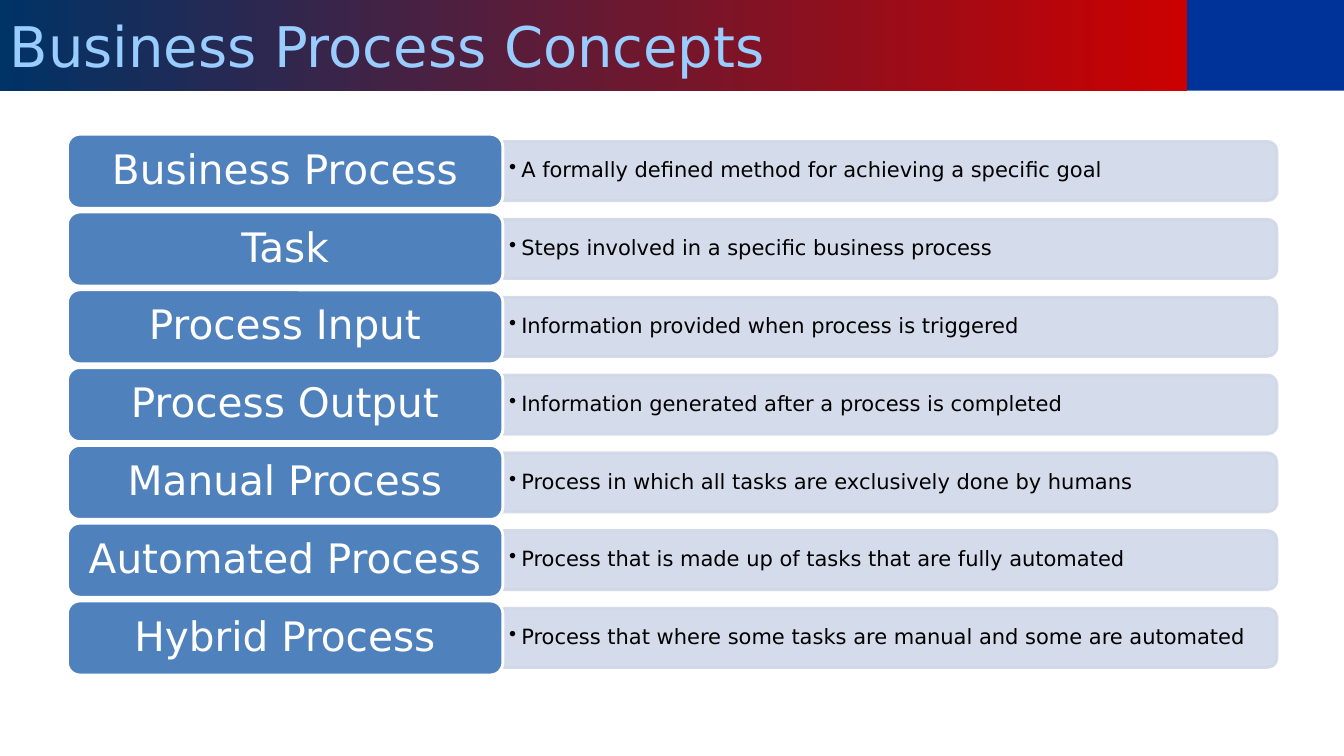
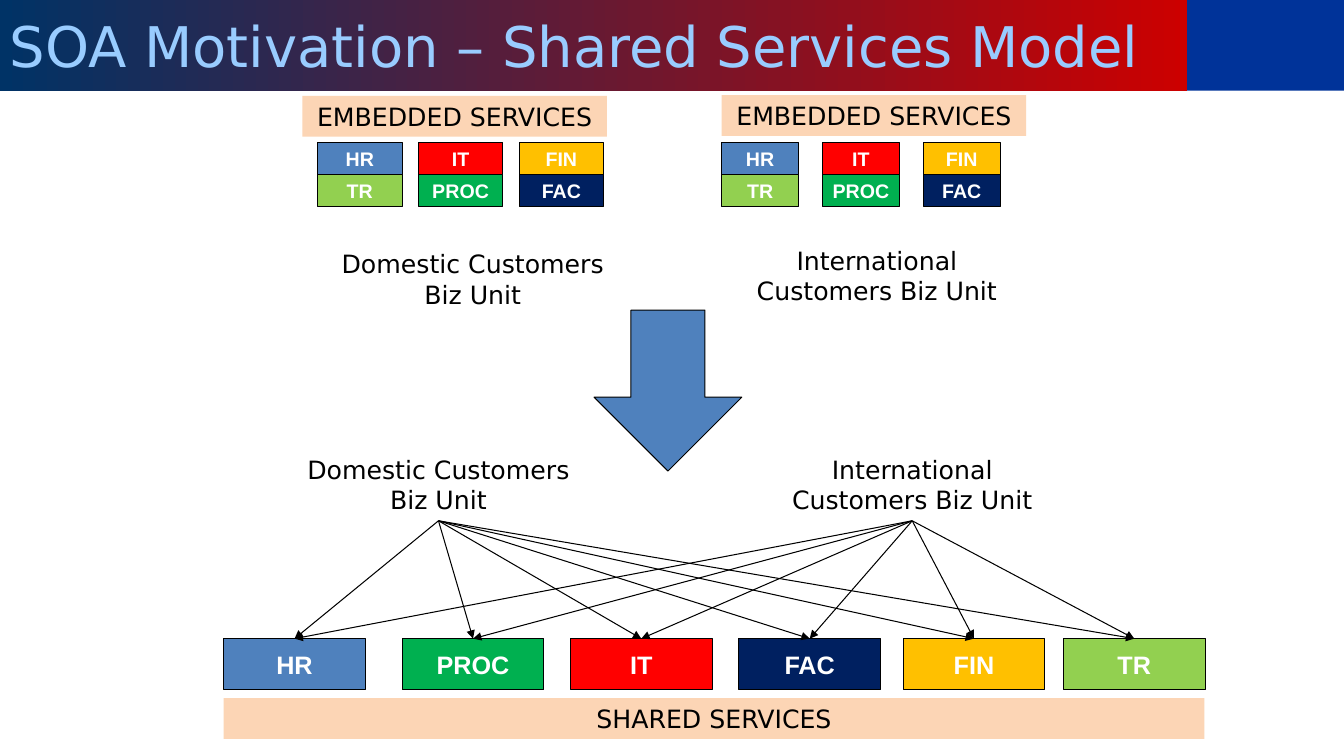
import pptx
import pptx.util
import pptx.dml.color
import pptx.enum.shapes
import pptx.enum.text
import pptx.oxml.ns
import lxml.etree

Pt = pptx.util.Pt
RGB = pptx.dml.color.RGBColor
Kind = pptx.enum.shapes.MSO_SHAPE
Align = pptx.enum.text.PP_ALIGN
Anchor = pptx.enum.text.MSO_ANCHOR
qn = pptx.oxml.ns.qn

NAVY = RGB(0x00, 0x33, 0x66)
CRIMSON = RGB(0xCC, 0x00, 0x00)
ROYAL = RGB(0x00, 0x33, 0x99)
SKY = RGB(0x99, 0xCC, 0xFF)
BLUE = RGB(0x4F, 0x81, 0xBD)
PALE = RGB(0xD0, 0xD8, 0xE8)
PEACH = RGB(0xFC, 0xD5, 0xB5)
RED = RGB(0xFF, 0x00, 0x00)
GOLD = RGB(0xFF, 0xC0, 0x00)
LIME = RGB(0x92, 0xD0, 0x50)
GREEN = RGB(0x00, 0xB0, 0x50)
DARK = RGB(0x00, 0x20, 0x60)
BLACK = RGB(0x00, 0x00, 0x00)
WHITE = RGB(0xFF, 0xFF, 0xFF)
SANS = "DejaVu Sans"

TERMS = [
    ("Business Process", "A formally defined method for achieving a specific goal"),
    ("Task", "Steps involved in a specific business process"),
    ("Process Input", "Information provided when process is triggered"),
    ("Process Output", "Information generated after a process is completed"),
    ("Manual Process", "Process in which all tasks are exclusively done by humans"),
    ("Automated Process", "Process that is made up of tasks that are fully automated"),
    ("Hybrid Process", "Process that where some tasks are manual and some are automated"),
]
TINTS = {"HR": BLUE, "IT": RED, "FIN": GOLD, "TR": LIME, "PROC": GREEN, "FAC": DARK}
GRIDS = [(226.8, 60.5), (515.5, 55)]
SHARED = {"HR": 159.8, "PROC": 287.3, "IT": 407.5, "FAC": 527.8, "FIN": 645.1, "TR": 759.6}
HOME = "Domestic Customers Biz Unit"
WORLD = "International Customers Biz Unit"
UNITS = [(HOME, 229.7, 174.2), (WORLD, 518.4, 171.4), (HOME, 205.2, 321.1), (WORLD, 543.6, 321.1)]
SIGNS = [
    ("EMBEDDED SERVICES", 216, 68.5, 217.5),
    ("EMBEDDED SERVICES", 515.5, 68, 217.5),
    ("SHARED SERVICES", 159.8, 498.7, 700.6),
]


def write(shape, text, size=18, font=SANS, color=BLACK, bold=False, align=Align.CENTER,
          anchor=Anchor.MIDDLE, pad=(7.2, 3.6), space=None, bullet=0):
    frame = shape.text_frame
    frame.word_wrap = True
    frame.vertical_anchor = anchor
    frame.margin_left = frame.margin_right = Pt(pad[0])
    frame.margin_top = frame.margin_bottom = Pt(pad[1])
    para = frame.paragraphs[0]
    para.alignment = align
    if space:
        para.line_spacing = space
    if bullet:
        props = para._p.get_or_add_pPr()
        props.set("marL", str(Pt(bullet)))
        props.set("indent", str(-Pt(bullet)))
        lxml.etree.SubElement(props, qn("a:buChar")).set("char", "•")
    run = para.add_run()
    run.text = text
    run.font.size = Pt(size)
    run.font.name = font
    run.font.bold = bold
    run.font.color.rgb = color


def draw(slide, kind, left, top, width, height, fill, line=None, weight=0.75):
    shape = slide.shapes.add_shape(kind, Pt(left), Pt(top), Pt(width), Pt(height))
    shape.shadow.inherit = False
    shape.fill.solid()
    shape.fill.fore_color.rgb = fill
    if line is None:
        shape.line.fill.background()
    else:
        shape.line.color.rgb = line
        shape.line.width = Pt(weight)
    return shape


def label(slide, left, top, width, height, text, **style):
    box = slide.shapes.add_textbox(Pt(left), Pt(top), Pt(width), Pt(height))
    write(box, text, **style)


def fade(shape, percent):
    for color in shape._element.spPr.iter(qn("a:srgbClr")):
        lxml.etree.SubElement(color, qn("a:alpha")).set("val", str(percent * 1000))


def arrow(slide, start, end):
    line = slide.shapes.add_connector(
        pptx.enum.shapes.MSO_CONNECTOR.STRAIGHT, *map(Pt, start + end))
    line.line.color.rgb = BLACK
    line.line.width = Pt(0.75)
    lxml.etree.SubElement(line.line._get_or_add_ln(), qn("a:tailEnd")).set("type", "triangle")
    lxml.etree.SubElement(line._element.spPr, qn("a:effectLst"))


def start(deck, title):
    slide = deck.slides.add_slide(deck.slide_layouts[6])
    draw(slide, Kind.RECTANGLE, 848, 0, 112, 64.8, ROYAL)
    band = draw(slide, Kind.RECTANGLE, 0, 0, 848, 65, NAVY)
    band.fill.gradient()
    band.fill.gradient_angle = 0
    for stop, place, color in zip(band.fill.gradient_stops, (0, 1), (NAVY, CRIMSON)):
        stop.position = place
        stop.color.rgb = color
    write(band, title, size=40, color=SKY, align=Align.LEFT)
    return slide


def concepts(deck):
    slide = start(deck, "Business Process Concepts")
    left, width, tall = 48.2, 311, 52.8
    edge, span, thick = left + width, 553, 42.3
    for row, (term, note) in enumerate(TERMS):
        top = 95.9 + row * 55.57
        mid = top + tall / 2
        bar = draw(slide, Kind.ROUND_2_SAME_RECTANGLE, edge + (span - thick) / 2,
                   mid - span / 2, thick, span, PALE, PALE, 2)
        bar.rotation = 90
        fade(bar, 90)
        label(slide, edge, mid - 19.1, span - 2, 38.2, note, size=15, align=Align.LEFT,
              pad=(4.5, 2.25), space=0.9, bullet=8.64)
        tag = draw(slide, Kind.ROUNDED_RECTANGLE, left, top, width, tall, BLUE, WHITE, 2)
        write(tag, term, size=29, color=WHITE, pad=(8.6, 4.3), space=0.9)


def badge(slide, name, left, top, width, height, size):
    box = draw(slide, Kind.RECTANGLE, left, top, width, height, TINTS[name], BLACK)
    write(box, name, size=size, font="Arial", color=WHITE, bold=True, pad=(0, 0))


def services(deck):
    slide = start(deck, "SOA Motivation – Shared Services Model")
    for left, width in GRIDS:
        for index, name in enumerate(TINTS):
            row, col = divmod(index, 3)
            badge(slide, name, left + col * 72, 101.5 + row * 23, width, 23, 14)
    draw(slide, Kind.DOWN_ARROW, 424.3, 221.5, 105.6, 115, BLUE, BLACK)
    wide, top = 101.2, 456.2
    for name, left in SHARED.items():
        badge(slide, name, left, top, wide, 36.4, 18)
    for text, left, high in UNITS:
        label(slide, left, high, 216, 50.9, text, anchor=Anchor.TOP)
    for text, left, high in UNITS[2:]:
        for goal in SHARED.values():
            arrow(slide, (left + 108, high + 50.9), (goal + wide / 2, top))
    for text, left, high, width in SIGNS:
        sign = draw(slide, Kind.RECTANGLE, left, high, width, 29.1, PEACH)
        write(sign, text, anchor=Anchor.TOP)


def main():
    deck = pptx.Presentation()
    deck.slide_width, deck.slide_height = Pt(960), Pt(540)
    concepts(deck)
    services(deck)
    deck.save("out.pptx")


if __name__ == "__main__":
    main()
